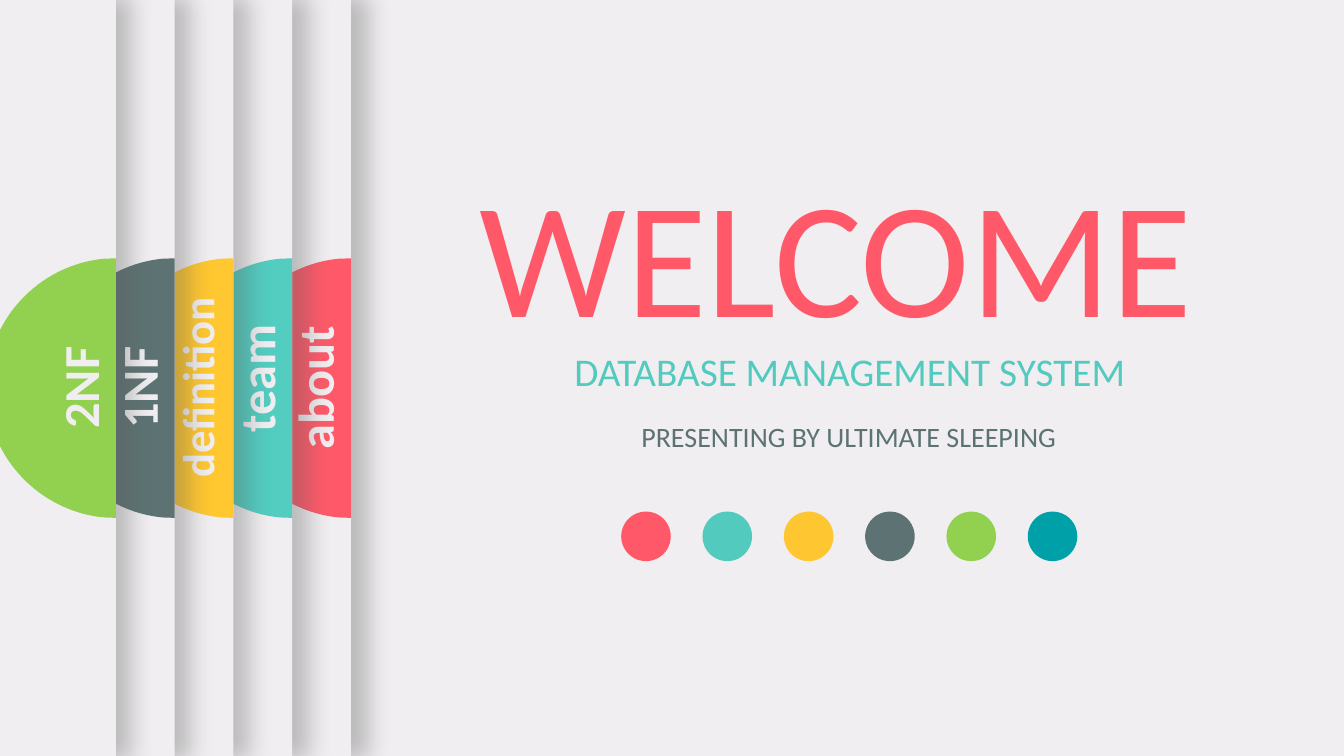
from dataclasses import dataclass

from lxml import etree
from pptx import Presentation
from pptx import util as u
from pptx.dml.color import RGBColor
from pptx.enum import shapes, text
from pptx.oxml import ns


@dataclass(frozen=True)
class Theme:
    font: str = "Calibri"
    paper: str = "F0EEF0"
    shade: str = "595959"
    coral: str = "FF5969"
    teal: str = "52CBBE"
    team_teal: str = "52CDC0"
    amber: str = "FEC630"
    definition_amber: str = "FFC730"
    slate: str = "5D7373"
    lime: str = "92D050"
    ocean: str = "00A0A8"
    title: int = 118
    subtitle: int = 28
    byline: int = 20
    label: int = 36
    long_label: int = 32


class TabbedSlide:
    """A slide on a grid of 160 columns by 90 rows."""

    def __init__(self, deck, theme):
        self.theme = theme
        self.column = deck.slide_width / 160
        self.row = deck.slide_height / 90
        self.page = deck.slides.add_slide(deck.slide_layouts[6])
        self.layer = self.page.shapes
        self.paint(self.page.background, theme.paper)

    def x(self, columns):
        return u.Emu(round(columns * self.column))

    def y(self, rows):
        return u.Emu(round(rows * self.row))

    def frame(self, left, top, width, height):
        return self.x(left), self.y(top), self.x(width), self.y(height)

    def start_group(self):
        self.layer = self.page.shapes.add_group_shape().shapes

    def end_group(self):
        self.layer = self.page.shapes

    def paint(self, target, colour):
        target.fill.solid()
        target.fill.fore_color.rgb = RGBColor.from_string(colour)

    def finish(self, shape, colour):
        self.paint(shape, colour)
        shape.line.fill.background()
        shape.shadow.inherit = False
        return shape

    def dot(self, left, top, size, colour):
        oval = self.layer.add_shape(shapes.MSO_SHAPE.OVAL, *self.frame(left, top, size, size))
        self.finish(oval, colour)

    def panel(self, left, edge):
        sheet = self.layer.add_shape(
            shapes.MSO_SHAPE.RECTANGLE, *self.frame(left, 0, edge - left, 90))
        self.finish(sheet, self.theme.paper)
        # Soft shadow, slightly larger than the sheet, falling to its right
        effects = sheet._element.spPr.find(ns.qn("a:effectLst"))
        shadow = etree.SubElement(
            effects, ns.qn("a:outerShdw"), blurRad=str(u.Pt(17)), dist=str(u.Pt(3)),
            dir="0", sx="101000", sy="101000", algn="l", rotWithShape="0")
        colour = etree.SubElement(shadow, ns.qn("a:srgbClr"), val=self.theme.shade)
        etree.SubElement(colour, ns.qn("a:alpha"), val="35000")

    def half_disc(self, edge, middle, colour):
        radius = 15.45
        # Lower quarter as distances from the edge and the middle; the upper one mirrors it
        lower = [(1.44, 15.4), (9.24, 14.64), (radius, 8.04), (radius, 0)]
        upper = [(across, -down) for across, down in reversed(lower[:-1])]
        points = [(self.x(edge - across), self.y(middle + down))
                  for across, down in [(0, -radius), (0, radius), *lower, *upper]]
        builder = self.layer.build_freeform(*points[0])
        builder.add_line_segments(points[1:], close=True)
        disc = self.finish(builder.convert_to_shape(), colour)
        # Turn the two runs of three points after the straight part into curves
        segments = list(disc._element.iter(ns.qn("a:lnTo")))[2:]
        for first in (0, 3):
            curve = etree.Element(ns.qn("a:cubicBezTo"))
            segments[first].addprevious(curve)
            for segment in segments[first:first + 3]:
                curve.append(segment[0])
                segment.getparent().remove(segment)

    def words(self, wording, place, size, colour, bold=False, turn=0, indent=0):
        box = self.layer.add_textbox(*self.frame(*place))
        box.rotation = turn
        box.text_frame.word_wrap = True
        box.text_frame.auto_size = text.MSO_AUTO_SIZE.SHAPE_TO_FIT_TEXT
        para = box.text_frame.paragraphs[0]
        para.text = wording
        para.alignment = text.PP_ALIGN.CENTER
        if indent:
            para._p.get_or_add_pPr().set("marL", str(self.x(indent)))
        para.font.name = self.theme.font
        para.font.size = u.Pt(size)
        para.font.bold = bold
        para.font.color.rgb = RGBColor.from_string(colour)

    def tab(self, wording, left, edge, colour, size, label_middle, label_height):
        label_width = 26.2
        self.start_group()
        self.panel(left, edge)
        self.half_disc(edge, 46.2, colour)
        place = (edge - 4.35 - label_width / 2, label_middle - label_height / 2,
                 label_width, label_height)
        self.words(wording, place, size, self.theme.paper, bold=True, turn=270)
        self.end_group()


def main():
    theme = Theme()
    deck = Presentation()
    deck.slide_width, deck.slide_height = u.Inches(13.33), u.Inches(7.5)
    slide = TabbedSlide(deck, theme)

    # Title
    slide.words("WELCOME", (51.75, 17.5, 95.5, 25.1), theme.title, theme.coral)

    # Row of dots
    slide.start_group()
    dots = (theme.coral, theme.teal, theme.amber, theme.slate, theme.lime, theme.ocean)
    for index, colour in enumerate(dots):
        slide.dot(73.95 + 9.68 * index, 60.9, 5.9, colour)
    slide.end_group()

    # Subtitle and presenter
    slide.words("DATABASE MANAGEMENT SYSTEM", (30.75, 40.8, 116.8, 6.85),
                theme.subtitle, theme.teal, indent=24)
    slide.words("PRESENTING BY ULTIMATE SLEEPING", (53.3, 49.3, 95.5, 5.3),
                theme.byline, theme.slate)

    # Stacked tabs, from the back sheet to the front one
    tabs = (
        ("about", -122, theme.coral, theme.label, 46.15, 8.5),
        ("team", -115.4, theme.team_teal, theme.label, 45.05, 8.5),
        ("definition", -103, theme.definition_amber, theme.long_label, 46.1, 7.7),
        ("1NF", -104.8, theme.slate, theme.label, 46.15, 8.5),
        ("2NF", -100.2, theme.lime, theme.label, 46.15, 8.5),
    )
    for index, (wording, left, *style) in enumerate(tabs):
        slide.tab(wording, left, 41.77 - 6.99 * index, *style)

    deck.save("out.pptx")


if __name__ == "__main__":
    main()
